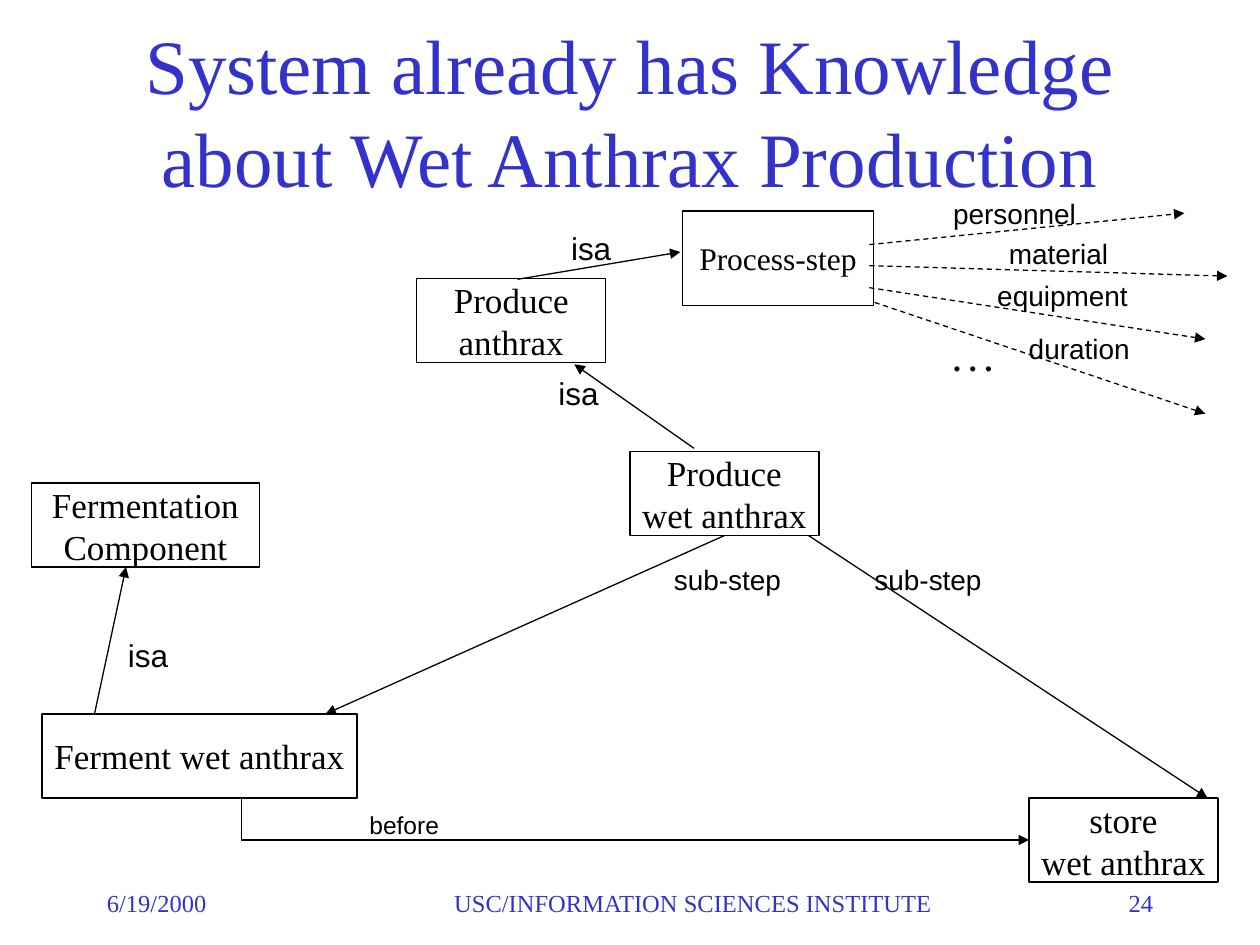
from lxml import etree
from pptx import Presentation, util as u
from pptx.dml.color import RGBColor
from pptx.enum import dml, shapes, text
from pptx.oxml.ns import qn

COLUMNS, ROWS = 120, 90
CELL = u.Inches(10) // COLUMNS
SERIF, SANS = "Times New Roman", "Arial"
BLACK, BLUE, WHITE = "000000", "3333CC", "FFFFFF"
BOX_HEIGHT = 8
FOOTER_ROW, FOOTER_HEIGHT = 84, 6


def cells(*counts):
    """Turn numbers of grid cells into lengths."""
    return [u.Emu(round(count * CELL)) for count in counts]


def color(hex_string):
    return RGBColor.from_string(hex_string)


def write(shape, words, size, font=SERIF, ink=BLACK, bold=False, wrap=False,
          align=text.PP_ALIGN.LEFT, anchor=text.MSO_ANCHOR.TOP):
    frame = shape.text_frame
    frame.word_wrap = wrap
    frame.vertical_anchor = anchor
    for index, line in enumerate(words.split("\n")):
        para = frame.add_paragraph() if index else frame.paragraphs[0]
        para.alignment = align
        span = para.add_run()
        span.text = line
        span.font.name, span.font.size, span.font.bold = font, u.Pt(size), bold
        span.font.color.rgb = color(ink)


def add_text(page, words, place, size, **style):
    area = page.shapes.add_textbox(*cells(*place))
    write(area, words, size, **style)
    return area


def add_label(page, words, left, top, width, size=16, **style):
    """Add a one-line caption whose box fits its text."""
    height = (size * 1.15 + 7.2) / 6
    label = add_text(page, words, (left, top, width, height), size, **style)
    label.text_frame.auto_size = text.MSO_AUTO_SIZE.SHAPE_TO_FIT_TEXT


def add_box(page, words, left, top, width, height=BOX_HEIGHT, size=20, fill=WHITE):
    box = page.shapes.add_shape(shapes.MSO_SHAPE.RECTANGLE,
                                *cells(left, top, width, height))
    box.shadow.inherit = False
    if fill:
        box.fill.solid()
        box.fill.fore_color.rgb = color(fill)
    else:
        box.fill.background()
    box.line.color.rgb = color(BLACK)
    box.line.width = u.Pt(0.75)
    write(box, words, size, align=text.PP_ALIGN.CENTER,
          anchor=text.MSO_ANCHOR.MIDDLE)
    return box


def add_line(page, start, end, arrow=True, dashed=False):
    line = page.shapes.add_connector(shapes.MSO_CONNECTOR.STRAIGHT,
                                     *cells(*start, *end))
    line.line.color.rgb = color(BLACK)
    line.line.width = u.Pt(0.75)
    if dashed:
        line.line.dash_style = dml.MSO_LINE.DASH
    if arrow:
        outline = line._element.spPr.find(qn("a:ln"))
        etree.SubElement(outline, qn("a:tailEnd"), type="triangle")
    etree.SubElement(line._element.spPr, qn("a:effectLst"))
    return line


def add_step_tree(page):
    add_box(page, "Produce\nanthrax", 39.7, 26.5, 18)
    add_box(page, "Ferment wet anthrax", 4, 68, 30)
    produce_wet = add_box(page, "Produce\nwet anthrax", 60, 43, 18)
    store = add_box(page, "store\nwet anthrax", 98, 76, 18)
    add_box(page, "Fermentation\nComponent", 3, 46, 21.7)

    add_line(page, (77, 51), (115, 76))
    add_line(page, (69, 51), (31, 68)).begin_connect(produce_wet, 2)
    add_line(page, (23, 76), (23, 80), arrow=False)
    add_line(page, (23, 80), (98, 80)).end_connect(store, 1)
    for left in (63, 82.1):
        add_label(page, "sub-step", left, 53, 12.8, font=SANS)
    add_label(page, "before", 34, 76.6, 9.2, size=14, font=SANS)

    isa_links = [
        ((66.1, 42.7), (54.7, 34.7), (52, 35)),
        ((9, 68), (12, 54), (11, 60)),
        ((49.3, 26.6), (64.8, 24), (53.2, 21.2)),
    ]
    for start, end, label_corner in isa_links:
        add_line(page, start, end)
        add_label(page, "isa", *label_corner, 6.4, size=18, font=SANS)


def add_process_step(page):
    add_box(page, "Process-step", 65, 20.1, 18.2, height=9, size=18, fill=None)
    roles = [
        ("personnel", (89.6, 18.1, 14.8), (82.8, 23.3), (112.8, 20.3)),
        ("material", (94.9, 21.9, 12.2), (82.8, 25.3), (116.9, 26.3)),
        ("equipment", (93.8, 25.9, 15.1), (82.8, 27.4), (114.8, 32.3)),
        ("duration", (96.8, 31, 12.3), (83.3, 28.8), (114.8, 39.4)),
    ]
    for role, label_place, start, end in roles:
        add_line(page, start, end, dashed=True)
        add_label(page, role, *label_place, font=SANS)
    add_label(page, ". . .", 89.6, 31.8, 7, size=18, bold=True)


def add_footer(page):
    parts = [
        ("6/19/2000", 9, 25, text.PP_ALIGN.LEFT),
        ("USC/INFORMATION SCIENCES INSTITUTE", 37, 58, text.PP_ALIGN.CENTER),
        ("24", 98, 13, text.PP_ALIGN.RIGHT),
    ]
    for words, left, width, align in parts:
        add_text(page, words, (left, FOOTER_ROW, width, FOOTER_HEIGHT), 14,
                 ink=BLUE, wrap=True, align=align)


def main():
    deck = Presentation()
    deck.slide_width, deck.slide_height = cells(COLUMNS, ROWS)
    page = deck.slides.add_slide(deck.slide_layouts[6])
    add_text(page, "System already has Knowledge about Wet Anthrax Production",
             (9, 3, 102, 15), 44, ink=BLUE, wrap=True,
             align=text.PP_ALIGN.CENTER, anchor=text.MSO_ANCHOR.MIDDLE)
    add_step_tree(page)
    add_process_step(page)
    add_footer(page)
    deck.save("out.pptx")


if __name__ == "__main__":
    main()
